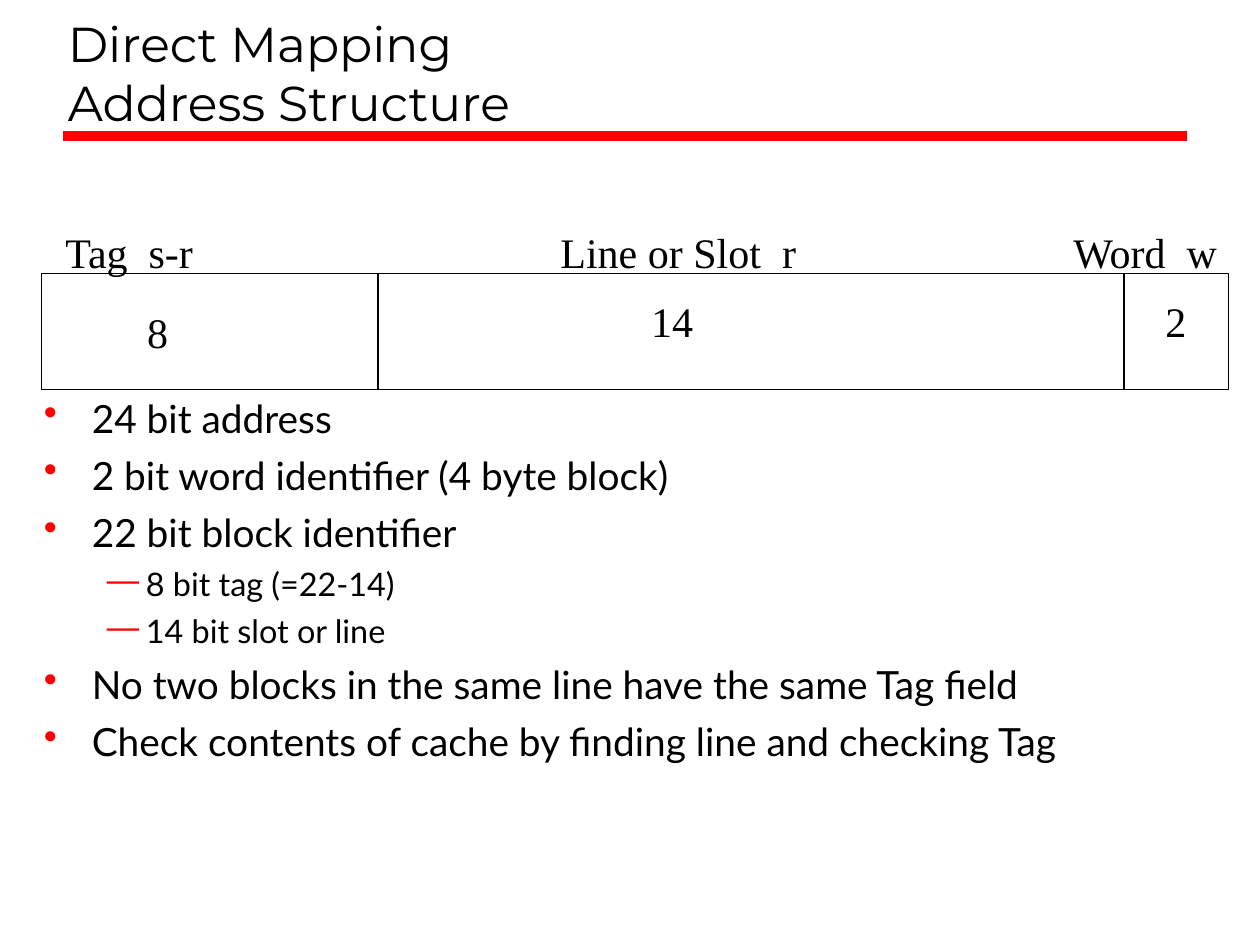
import pptx
import pptx.util
import pptx.dml.color
import pptx.enum.shapes
import pptx.enum.text
import pptx.oxml
import pptx.oxml.ns
import lxml.etree

Inches = pptx.util.Inches
Pt = pptx.util.Pt


def color(value):
    return pptx.dml.color.RGBColor.from_string(value)


def add_run(paragraph, text, size, face):
    run = paragraph.add_run()
    run.text = text
    run.font.size = Pt(size)
    run.font.name = face
    run.font.color.rgb = color("000000")


deck = pptx.Presentation()
deck.slide_width = Inches(10)
deck.slide_height = Inches(7.5)
slide = deck.slides.add_slide(deck.slide_layouts[6])

address_left, address_top, address_width, address_height = 0.33, 2.17, 9.42, 0.92
address_bottom = address_top + address_height
address = slide.shapes.add_shape(
    pptx.enum.shapes.MSO_SHAPE.RECTANGLE,
    Inches(address_left), Inches(address_top), Inches(address_width), Inches(address_height))
address.shadow.inherit = False
address.fill.background()
address.line.color.rgb = color("000000")
address.line.width = Pt(0.75)

rules = [
    (0.5, 1.08, 9.42, 1.08, "FF0000", 6),
    (3, address_top, 3, address_bottom, "000000", 0.75),
    (8.92, address_top, 8.92, address_bottom, "000000", 0.75),
]
for x1, y1, x2, y2, stroke, weight in rules:
    rule = slide.shapes.add_connector(
        pptx.enum.shapes.MSO_CONNECTOR.STRAIGHT, Inches(x1), Inches(y1), Inches(x2), Inches(y2))
    rule.line.color.rgb = color(stroke)
    rule.line.width = Pt(weight)
    lxml.etree.SubElement(rule._element.spPr, pptx.oxml.ns.qn("a:effectLst"))

title = slide.shapes.add_textbox(Inches(0.44), Inches(0.17), Inches(8.97), Inches(0.92)).text_frame
title.word_wrap = True
title.vertical_anchor = pptx.enum.text.MSO_ANCHOR.BOTTOM
heading = title.paragraphs[0]
add_run(heading, "Direct Mapping", 28, "Montserrat")
heading.add_line_break()
add_run(heading, "Address Structure", 28, "Montserrat")

fields = [
    ("Tag  s-r", 0.42, 1.75, 1.23),
    ("Line or Slot  r", 4.35, 1.75, 2.07),
    ("Word  w", 8.42, 1.75, 1.36),
    ("8", 1.07, 2.38, 0.36),
    ("14", 5.07, 2.3, 0.53),
    ("2", 9.15, 2.3, 0.36),
]
for text, left, top, width in fields:
    field = slide.shapes.add_textbox(Inches(left), Inches(top), Inches(width), Inches(0.5)).text_frame
    field.word_wrap = False
    field.auto_size = pptx.enum.text.MSO_AUTO_SIZE.SHAPE_TO_FIT_TEXT
    add_run(field.paragraphs[0], text, 24, "Times New Roman")

level_styles = [("•", 0.38, 0.38, 6, 22.2), ("—", 0.81, 0.31, 5, 18.5)]
points = [
    (0, "24 bit address"),
    (0, "2 bit word identifier (4 byte block)"),
    (0, "22 bit block identifier"),
    (1, "8 bit tag (=22-14)"),
    (1, "14 bit slot or line"),
    (0, "No two blocks in the same line have the same Tag field"),
    (0, "Check contents of cache by finding line and checking Tag"),
]
body = slide.shapes.add_textbox(Inches(0.25), Inches(3.08), Inches(9.19), Inches(3.54)).text_frame
body.word_wrap = True
for index, (level, text) in enumerate(points):
    mark, margin, hanging, gap, size = level_styles[level]
    point = body.add_paragraph() if index else body.paragraphs[0]
    point.level = level
    if index:
        point.space_before = Pt(gap)
    properties = point._p.get_or_add_pPr()
    properties.set("marL", str(Inches(margin)))
    properties.set("indent", str(-Inches(hanging)))
    bullet_color = lxml.etree.SubElement(properties, pptx.oxml.ns.qn("a:buClr"))
    lxml.etree.SubElement(bullet_color, pptx.oxml.ns.qn("a:srgbClr"), val="FF0000")
    lxml.etree.SubElement(properties, pptx.oxml.ns.qn("a:buChar"), char=mark)
    add_run(point, text, size, "Lato")

deck.save("out.pptx")
